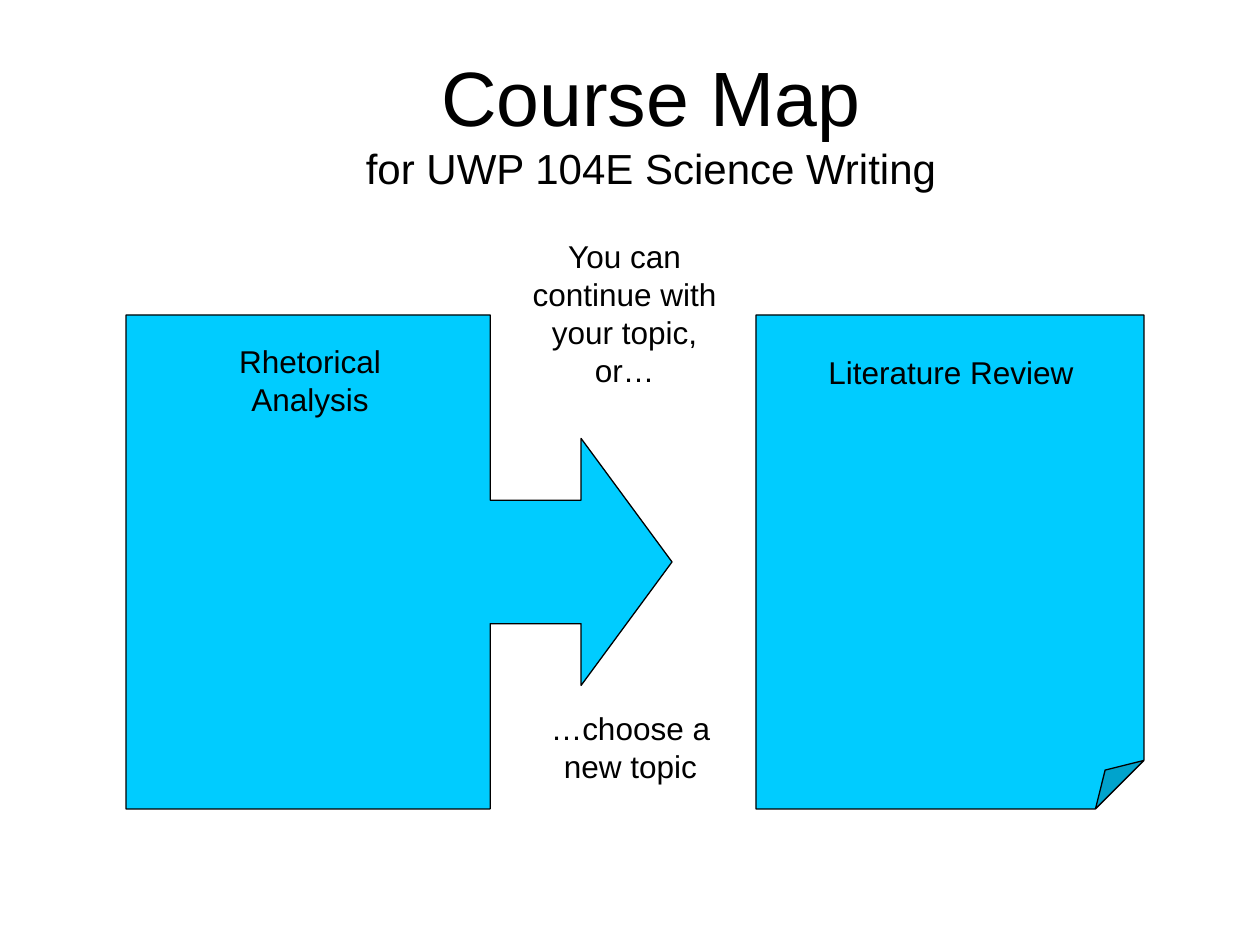
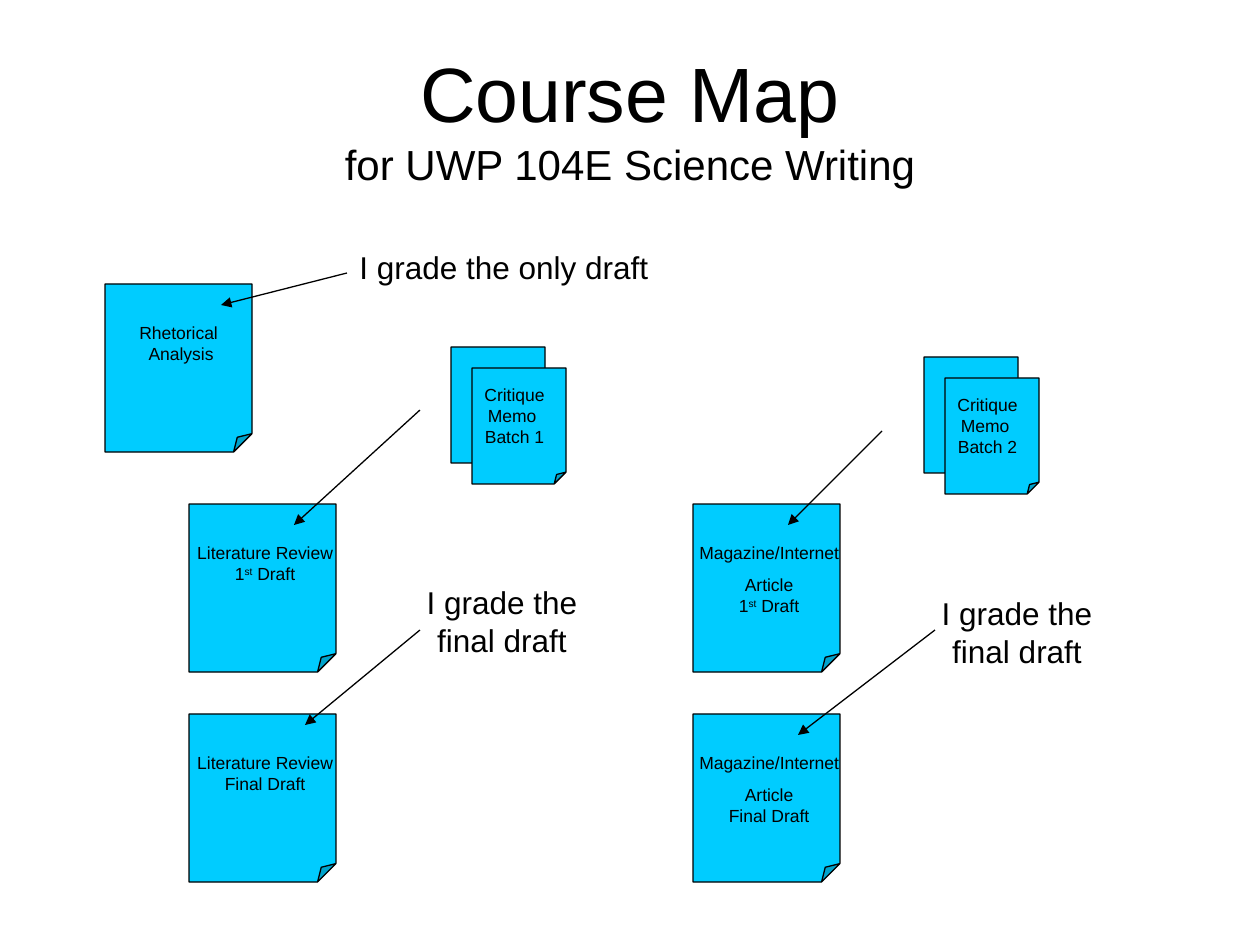
from pptx import Presentation
from pptx.dml.color import RGBColor
from pptx.enum.shapes import MSO_CONNECTOR, MSO_SHAPE as Preset
from pptx.enum.text import MSO_ANCHOR, MSO_AUTO_SIZE, PP_ALIGN
from pptx.oxml.ns import qn
from pptx.util import Emu, Pt
from lxml.etree import SubElement

COLORS = {"paper": "00CCFF", "ink": "000000"}
FONT = "Arial"
BODY, SMALL = 18, 10
EMU_PER_PX = 914400 / 126
DOCUMENT_SIZE = (147, 168)
MEMO_SIZE = (94, 116)
MEMO_OFFSET = 21
FOLD = {"adj": 12500}
CALLOUT = {"adj1": 25000, "adj2": 25000, "adj3": 18400, "adj4": 66700}


def px(*lengths):
    return [Emu(round(length * EMU_PER_PX)) for length in lengths]


def color(name):
    return RGBColor.from_string(COLORS[name])


class CourseMap:
    def __init__(self):
        self.presentation = Presentation()
        size = px(1260, 945)
        self.presentation.slide_width, self.presentation.slide_height = size
        self.slide = None

    def start_slide(self, title_left, title_top):
        layout = self.presentation.slide_layouts[6]
        self.slide = self.presentation.slides.add_slide(layout)
        self.title(title_left, title_top)

    def style(self, paragraph, size=None):
        paragraph.alignment = PP_ALIGN.CENTER
        paragraph.font.name = FONT
        paragraph.font.color.rgb = color("ink")
        if size:
            paragraph.font.size = Pt(size)

    def title(self, left, top):
        box = self.slide.shapes.add_textbox(*px(left, top, 1134, 158))
        frame = box.text_frame
        frame.word_wrap = True
        frame.vertical_anchor = MSO_ANCHOR.MIDDLE
        paragraph = frame.paragraphs[0]
        self.style(paragraph)
        heading = paragraph.add_run()
        heading.text, heading.font.size = "Course Map", Pt(44)
        paragraph.add_line_break()
        course = paragraph.add_run()
        course.text, course.font.size = "for UWP 104E Science Writing", Pt(24)

    def text(self, left, top, width, height, lines, size=BODY, wrap=False, gaps=()):
        """Text between two ^ marks is superscript; gaps maps a line to its space before."""
        box = self.slide.shapes.add_textbox(*px(left, top, width, height))
        frame = box.text_frame
        frame.word_wrap = wrap
        frame.auto_size = MSO_AUTO_SIZE.SHAPE_TO_FIT_TEXT
        for index, line in enumerate(lines):
            paragraph = frame.add_paragraph() if index else frame.paragraphs[0]
            self.style(paragraph, size)
            if index in gaps:
                paragraph.space_before = Pt(gaps[index])
            for part, words in enumerate(line.split("^")):
                run = paragraph.add_run()
                run.text = words
                if part % 2:
                    run._r.get_or_add_rPr().set("baseline", "30000")

    def shape(self, preset, left, top, width, height, guides):
        shape = self.slide.shapes.add_shape(preset, *px(left, top, width, height))
        shape.shadow.inherit = False
        shape.fill.solid()
        shape.fill.fore_color.rgb = color("paper")
        shape.line.color.rgb = color("ink")
        shape.line.width = Pt(0.75)
        # Guides go in as XML, since not every preset exposes its adjustments
        geometry = shape._element.spPr.find(qn("a:prstGeom"))
        for old_list in geometry.findall(qn("a:avLst")):
            geometry.remove(old_list)
        guide_list = SubElement(geometry, qn("a:avLst"))
        for name, value in guides.items():
            SubElement(guide_list, qn("a:gd"), name=name, fmla=f"val {value}")

    def page(self, left, top, width, height):
        self.shape(Preset.FOLDED_CORNER, left, top, width, height, FOLD)

    def document(self, left, top, lines, gaps=()):
        self.page(left, top, *DOCUMENT_SIZE)
        height = 13 + 21 * len(lines)
        self.text(left - 8, top + 32, 168, height, lines, SMALL, gaps=gaps)

    def memo_batch(self, left, top, number):
        for offset in (0, MEMO_OFFSET):
            self.page(left + offset, top + offset, *MEMO_SIZE)
        lines = ["Critique", "Memo ", f"Batch {number}"]
        self.text(left + MEMO_OFFSET, top + MEMO_OFFSET + 10, 85, 76, lines, SMALL)

    def arrow(self, *ends):
        arrow = self.slide.shapes.add_connector(MSO_CONNECTOR.STRAIGHT, *px(*ends))
        arrow.line.color.rgb = color("ink")
        arrow.line.width = Pt(0.75)
        properties = arrow._element.spPr
        SubElement(properties.find(qn("a:ln")), qn("a:tailEnd"), type="triangle")
        SubElement(properties, qn("a:effectLst"))


def build_topic_choice(course_map):
    course_map.start_slide(84, 42)

    # The two assignments
    course_map.shape(Preset.RIGHT_ARROW_CALLOUT, 126, 315, 546, 494, CALLOUT)
    course_map.text(168, 336, 284, 88, ["Rhetorical Analysis"], wrap=True)
    course_map.page(756, 315, 388, 494)
    course_map.text(809, 347, 284, 50, ["Literature Review"], wrap=True)

    # The choice between them
    course_map.text(514, 231, 221, 164, ["You can continue with your topic, or…"], wrap=True)
    course_map.text(536, 703, 189, 88, ["…choose a new topic"], wrap=True)


def build_drafts(course_map):
    course_map.start_slide(63, 38)

    # Single draft
    course_map.document(105, 284, ["Rhetorical ", "Analysis"])
    course_map.arrow(347, 273, 221, 305)
    course_map.text(347, 242, 314, 50, ["I grade the only draft"])

    # First and final draft of each later assignment
    assignments = [(189, ["Literature Review"], ()),
                   (693, ["Magazine/Internet ", "Article"], {1: 6.2})]
    for left, name, gaps in assignments:
        for top, draft in ((504, "1^st^ Draft"), (714, "Final Draft")):
            course_map.document(left, top, name + [draft], gaps)

    # Critique memos
    course_map.memo_batch(451, 347, 1)
    course_map.memo_batch(924, 357, 2)

    # Grading notes
    for left, top in ((410, 577), (925, 588)):
        course_map.text(left, top, 184, 88, ["I grade the ", "final draft"])

    # Arrows to the drafts
    for ends in ((420, 410, 294, 525), (420, 630, 305, 725),
                 (882, 431, 788, 525), (935, 630, 798, 735)):
        course_map.arrow(*ends)


def main():
    course_map = CourseMap()
    build_topic_choice(course_map)
    build_drafts(course_map)
    course_map.presentation.save("out.pptx")


if __name__ == "__main__":
    main()
